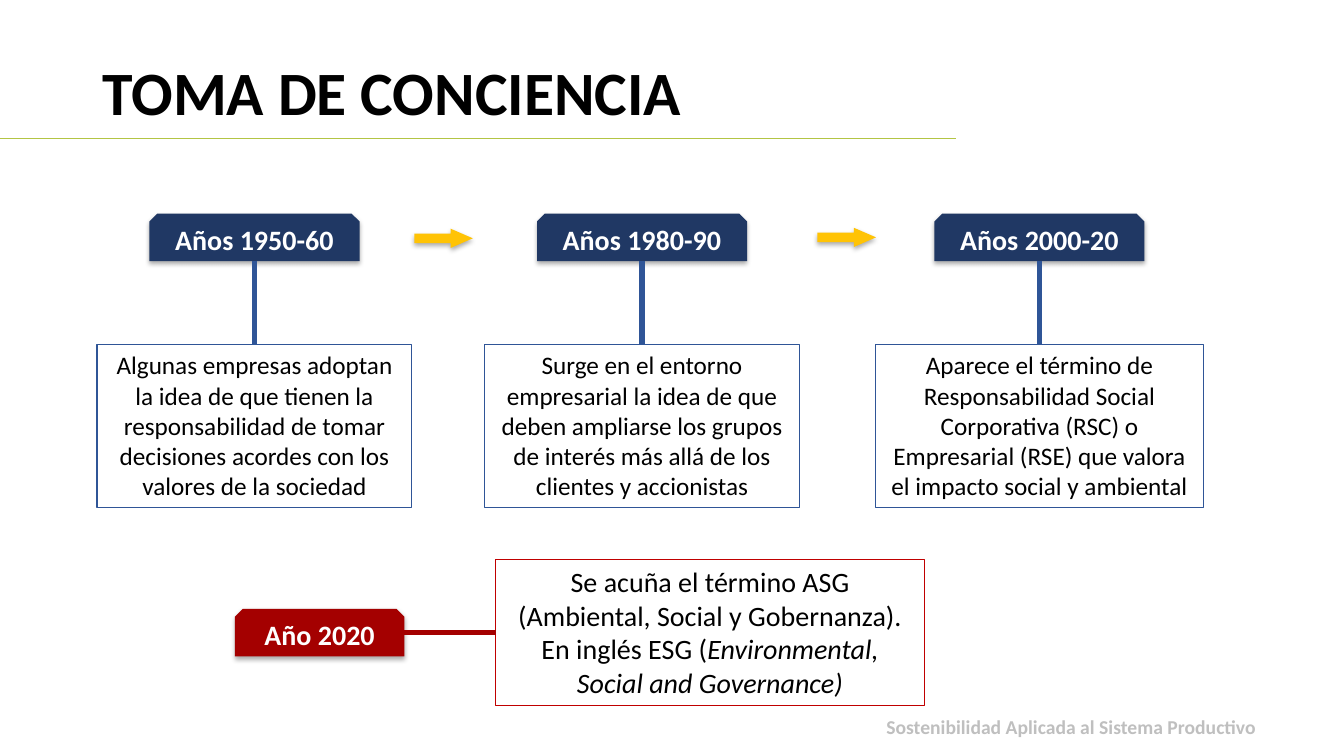
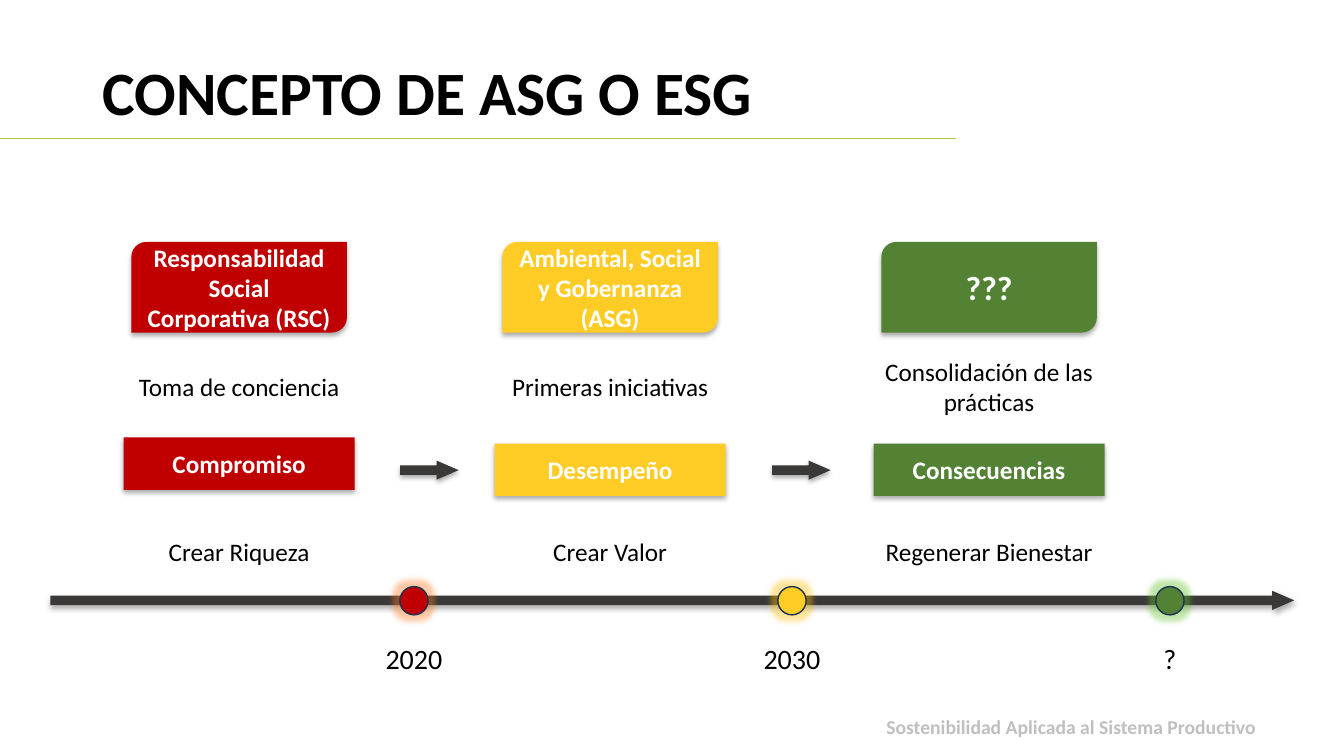
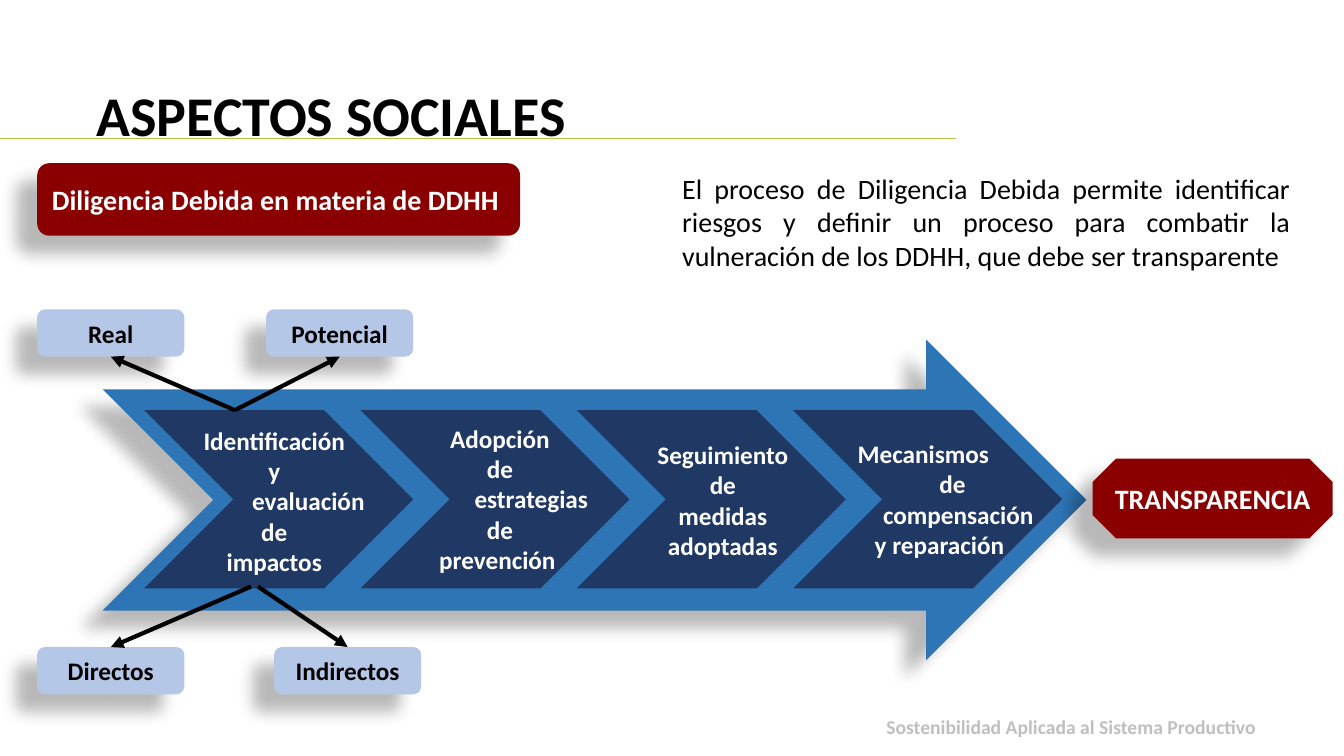
from dataclasses import dataclass
from lxml import etree
from pptx import Presentation
from pptx.dml.color import RGBColor
from pptx.enum.shapes import MSO_CONNECTOR, MSO_SHAPE
from pptx.enum.text import MSO_ANCHOR, PP_ALIGN
from pptx.oxml.ns import qn
from pptx.util import Pt

LEFT, CENTER, RIGHT, JUSTIFY = PP_ALIGN.LEFT, PP_ALIGN.CENTER, PP_ALIGN.RIGHT, PP_ALIGN.JUSTIFY
TOP, MIDDLE = MSO_ANCHOR.TOP, MSO_ANCHOR.MIDDLE
STRAIGHT = MSO_CONNECTOR.STRAIGHT
RECTANGLE = MSO_SHAPE.RECTANGLE
ROUNDED = MSO_SHAPE.ROUNDED_RECTANGLE
SNIPPED = MSO_SHAPE.SNIP_2_SAME_RECTANGLE
DIAGONAL = MSO_SHAPE.ROUND_2_DIAG_RECTANGLE
OVAL = MSO_SHAPE.OVAL
CHEVRON = MSO_SHAPE.CHEVRON
OCTAGON = MSO_SHAPE.OCTAGON
RIGHT_ARROW = MSO_SHAPE.RIGHT_ARROW
NOTCHED_ARROW = MSO_SHAPE.NOTCHED_RIGHT_ARROW
SITE_TOP, SITE_LEFT, SITE_BOTTOM = 0, 1, 2


@dataclass(frozen=True)
class Theme:
    font: str = "Calibri"
    black: str = "000000"
    white: str = "FFFFFF"
    footer: str = "BFBFBF"
    rule: str = "B3C544"
    navy: str = "203864"
    blue: str = "2F5597"
    arrow_blue: str = "2E75B6"
    pale_blue: str = "B4C7E7"
    outline: str = "1E3256"
    red: str = "C00000"
    dark_red: str = "A40000"
    deep_red: str = "8A0000"
    amber: str = "FFC305"
    yellow: str = "FFCB25"
    green: str = "548235"
    charcoal: str = "3B3838"
    red_glow: str = "FF7A1F"
    yellow_glow: str = "FFC000"
    green_glow: str = "63C52A"
    title_size: int = 44
    small_title_size: int = 40
    symbol_size: int = 24
    large_size: int = 20
    body_size: int = 18
    footer_size: int = 14


THEME = Theme()
SOFT_SHADOW = (32, 3.5, 2.2, 90)
LONG_SHADOW = (28, 11.8, 19.7, 141)
SMALL_ARROW = (41.8, 13.7)


def points(*lengths):
    return [Pt(length) for length in lengths]


def add_effect(shape, name, color, alpha, **attributes):
    effects = shape._element.spPr.find(qn("a:effectLst"))
    effect = etree.SubElement(effects, qn(f"a:{name}"))
    for key, value in attributes.items():
        effect.set(key, str(int(value)))
    tint = etree.SubElement(effect, qn("a:srgbClr"), val=color)
    etree.SubElement(tint, qn("a:alpha"), val=str(alpha * 1000))


def add_shadow(shape, shadow):
    alpha, blur, distance, angle = shadow
    add_effect(shape, "outerShdw", THEME.black, alpha, blurRad=Pt(blur), dist=Pt(distance),
               dir=angle * 60000, rotWithShape=0)


def format_runs(paragraph, size, color, bold):
    for run in paragraph.runs:
        run.font.name = THEME.font
        run.font.size = Pt(size)
        run.font.bold = bold
        run.font.color.rgb = RGBColor.from_string(color)


def write_paragraph(paragraph, text, size, color, bold, align, indent=0):
    if indent:
        paragraph._p.get_or_add_pPr().set("marL", str(Pt(indent)))
    paragraph.alignment = align
    paragraph.text = text
    format_runs(paragraph, size, color, bold)


def write(shape, text, size=THEME.body_size, color=THEME.black, bold=False,
          align=CENTER, anchor=TOP):
    frame = shape.text_frame
    frame.word_wrap = True
    frame.vertical_anchor = anchor
    paragraph = frame.paragraphs[0]
    write_paragraph(paragraph, text, size, color, bold, align)
    return paragraph


def add_label(slide, box, text, **style):
    return write(slide.shapes.add_textbox(*points(*box)), text, **style)


def add_steps(slide, box, lines):
    frame = slide.shapes.add_textbox(*points(*box)).text_frame
    frame.word_wrap = True
    for number, (text, align, indent) in enumerate(lines):
        paragraph = frame.add_paragraph() if number else frame.paragraphs[0]
        write_paragraph(paragraph, text, THEME.body_size, THEME.white, True, align, indent)


def add_figure(slide, kind, box, fill=None, line=None, line_width=0.75, shadow=None,
               adjustments=()):
    shape = slide.shapes.add_shape(kind, *points(*box))
    for number, value in enumerate(adjustments):
        shape.adjustments[number] = value
    if fill:
        shape.fill.solid()
        shape.fill.fore_color.rgb = RGBColor.from_string(fill)
    else:
        shape.fill.background()
    if line:
        shape.line.color.rgb = RGBColor.from_string(line)
        shape.line.width = Pt(line_width)
    else:
        shape.line.fill.background()
    shape.shadow.inherit = False
    if shadow:
        add_shadow(shape, shadow)
    return shape


def add_tag(slide, kind, box, fill, text, size=THEME.large_size, color=THEME.white,
            shadow=SOFT_SHADOW):
    shape = add_figure(slide, kind, box, fill, shadow=shadow)
    write(shape, text, size, color, True, anchor=MIDDLE)
    return shape


def add_arrow(slide, left, top, fill, size=SMALL_ARROW):
    add_figure(slide, RIGHT_ARROW, (left, top, *size), fill, shadow=SOFT_SHADOW,
               adjustments=(0.5, 1.15))


def add_line(slide, start, end, color, width, target=None, site=SITE_TOP, arrow=False):
    connector = slide.shapes.add_connector(STRAIGHT, *points(*start, *end))
    if target is not None:
        connector.end_connect(target, site)
    connector.line.color.rgb = RGBColor.from_string(color)
    connector.line.width = Pt(width)
    if arrow:
        etree.SubElement(connector.line._get_or_add_ln(), qn("a:tailEnd"), type="triangle")
    etree.SubElement(connector._element.spPr, qn("a:effectLst"))


def add_base(presentation, title, left=66.2, top=15.8, size=THEME.title_size):
    slide = presentation.slides.add_slide(presentation.slide_layouts[6])
    heading = add_label(slide, (left, top, 724.3, 104.4), title, size=size, bold=True,
                        align=LEFT, anchor=MIDDLE)
    heading.line_spacing = 0.9
    add_line(slide, (-0.7, 98.9), (682.6, 98.9), THEME.rule, 0.5)
    footer = add_label(slide, (529.9, 509, 374.4, 35.3),
                       "Sostenibilidad Aplicada al Sistema Productivo",
                       size=THEME.footer_size, color=THEME.footer, bold=True, align=RIGHT)
    footer.line_spacing = 0.9
    return slide


def add_era(slide, center, width, period, text):
    tag_width, tag_top, tag_height, note_top = 150, 152.6, 33.9, 246.2
    add_tag(slide, SNIPPED, (center - tag_width / 2, tag_top, tag_width, tag_height),
            THEME.navy, period)
    note = add_figure(slide, RECTANGLE, (center - width / 2, note_top, width, 116.6),
                      line=THEME.blue)
    write(note, text)
    add_line(slide, (center, tag_top + tag_height), (center, note_top), THEME.blue, 3.75, note)


def build_awareness(presentation):
    slide = add_base(presentation, "TOMA DE CONCIENCIA")
    eras = (
        (181.8, 225, "Años 1950-60",
         "Algunas empresas adoptan la idea de que tienen la responsabilidad de tomar "
         "decisiones acordes con los valores de la sociedad"),
        (458.6, 225, "Años 1980-90",
         "Surge en el entorno empresarial la idea de que deben ampliarse los grupos de "
         "interés más allá de los clientes y accionistas"),
        (742.5, 234, "Años 2000-20",
         "Aparece el término de Responsabilidad Social Corporativa (RSC) o Empresarial "
         "(RSE) que valora el impacto social y ambiental"),
    )
    for era in eras:
        add_era(slide, *era)
    for left, top in ((295.9, 163.4), (583.9, 162.7)):
        add_arrow(slide, left, top, THEME.amber)
    add_tag(slide, SNIPPED, (167.8, 434.9, 121, 33.9), THEME.dark_red, "Año 2020")
    note = add_figure(slide, RECTANGLE, (354.2, 399.6, 306, 104.4), line=THEME.red)
    paragraph = write(note, "Se acuña el término ASG (Ambiental, Social y Gobernanza). "
                      "En inglés ESG (", THEME.large_size)
    english = paragraph.add_run()
    english.text = "Environmental, Social and Governance)"
    format_runs(paragraph, THEME.large_size, THEME.black, False)
    english.font.italic = True
    add_line(slide, (288.8, 451.8), (354.2, 451.8), THEME.dark_red, 4, note, SITE_LEFT)


def build_concept(presentation):
    slide = add_base(presentation, "CONCEPTO DE ASG O ESG")
    add_arrow(slide, 36, 422, THEME.charcoal, (888.5, 13.7))
    milestones = (
        ("2020", THEME.red, THEME.red_glow),
        ("2030", THEME.yellow, THEME.yellow_glow),
        ("?", THEME.green, THEME.green_glow),
    )
    diameter = 20.2
    for number, (year, fill, glow) in enumerate(milestones):
        center = 295.7 + 270 * number
        marker = add_figure(slide, OVAL, (center - diameter / 2, 419, diameter, diameter),
                            fill, THEME.outline, 1)
        add_effect(marker, "glow", glow, 40, rad=Pt(8))
        add_label(slide, (center - 43.5, 454.5, 87, 31.7), year, size=THEME.large_size)
    stages = (
        (170.8, 312.5, THEME.red, "Responsabilidad Social Corporativa (RSC)",
         THEME.body_size, "Toma de conciencia", "Compromiso", "Crear Riqueza"),
        (435.8, 316.8, THEME.yellow, "Ambiental, Social y Gobernanza (ASG)",
         THEME.body_size, "Primeras iniciativas", "Desempeño", "Crear Valor"),
        (706.5, 316.8, THEME.green, "???",
         THEME.symbol_size, "Consolidación de las prácticas", "Consecuencias",
         "Regenerar Bienestar"),
    )
    for center, bar_top, fill, name, size, phase, focus, purpose in stages:
        add_tag(slide, DIAGONAL, (center - 77, 172.8, 154, 64.8), fill, name, size)
        add_label(slide, (center - 91.8, 250.6, 183.6, 51.1), phase, anchor=MIDDLE)
        add_tag(slide, RECTANGLE, (center - 82.5, bar_top, 165, 37.4), fill, focus,
                THEME.body_size)
        add_label(slide, (center - 91.8, 379.4, 183.6, 28.8), purpose)
    for left in (285.8, 551.5):
        add_arrow(slide, left, 329, THEME.charcoal)


def build_social(presentation):
    slide = add_base(presentation, "ASPECTOS SOCIALES", 61.9, 32.4, THEME.small_title_size)
    add_tag(slide, ROUNDED, (26.6, 116.6, 344.9, 51.8), THEME.deep_red,
            "Diligencia Debida en materia de DDHH ", shadow=LONG_SHADOW)
    add_figure(slide, NOTCHED_ARROW, (73.4, 242.6, 702.7, 229), THEME.arrow_blue,
               shadow=LONG_SHADOW, adjustments=(0.69, 0.5))
    steps = (
        (121, 300.2, 116.6, (
            ("Identificación", CENTER, 0), ("y", CENTER, 0), ("evaluación", CENTER, 48.8),
            ("de", CENTER, 0), ("impactos", CENTER, 0))),
        (282.2, 298.8, 116.6, (
            ("Adopción", CENTER, 0), ("de", CENTER, 0), ("estrategias", CENTER, 44.8),
            ("de", CENTER, 0), ("prevención", LEFT, 24.4))),
        (441.4, 310.3, 94.3, (
            ("Seguimiento", CENTER, 0), ("de", CENTER, 0), ("medidas adoptadas", CENTER, 0))),
        (605.5, 309.6, 94.3, (
            ("Mecanismos", LEFT, 0), ("de", CENTER, 0), ("compensación", CENTER, 8.1),
            ("y reparación", LEFT, 12.2))),
    )
    for number, (left, top, height, lines) in enumerate(steps):
        add_figure(slide, CHEVRON, (103 + 154.5 * number, 293, 192.2, 127.4), THEME.navy)
        add_steps(slide, (left, top, 149.8, height), lines)
    impacts = (
        ("Real", 26.6, 221, (167.8, 293), SITE_BOTTOM),
        ("Potencial", 190.1, 221, (167.8, 293), SITE_BOTTOM),
        ("Directos", 26.6, 462.2, (179.3, 419), SITE_TOP),
        ("Indirectos", 195.8, 462.2, (184.3, 419), SITE_TOP),
    )
    for text, left, top, start, site in impacts:
        tag = add_tag(slide, ROUNDED, (left, top, 105.1, 33.8), THEME.pale_blue, text,
                      THEME.body_size, THEME.black, LONG_SHADOW)
        add_line(slide, start, (left, top), THEME.black, 3, tag, site, arrow=True)
    add_tag(slide, OCTAGON, (780.5, 327.6, 171.4, 56.9), THEME.deep_red, "TRANSPARENCIA",
            shadow=LONG_SHADOW)
    add_label(slide, (480.2, 118.8, 448.6, 79.9),
              "El proceso de Diligencia Debida permite identificar riesgos y definir un "
              "proceso para combatir la vulneración de los DDHH, que debe ser transparente",
              size=THEME.large_size, align=JUSTIFY)


def main():
    presentation = Presentation()
    presentation.slide_width, presentation.slide_height = points(960, 540)
    build_awareness(presentation)
    build_concept(presentation)
    build_social(presentation)
    presentation.save("out.pptx")


if __name__ == "__main__":
    main()
